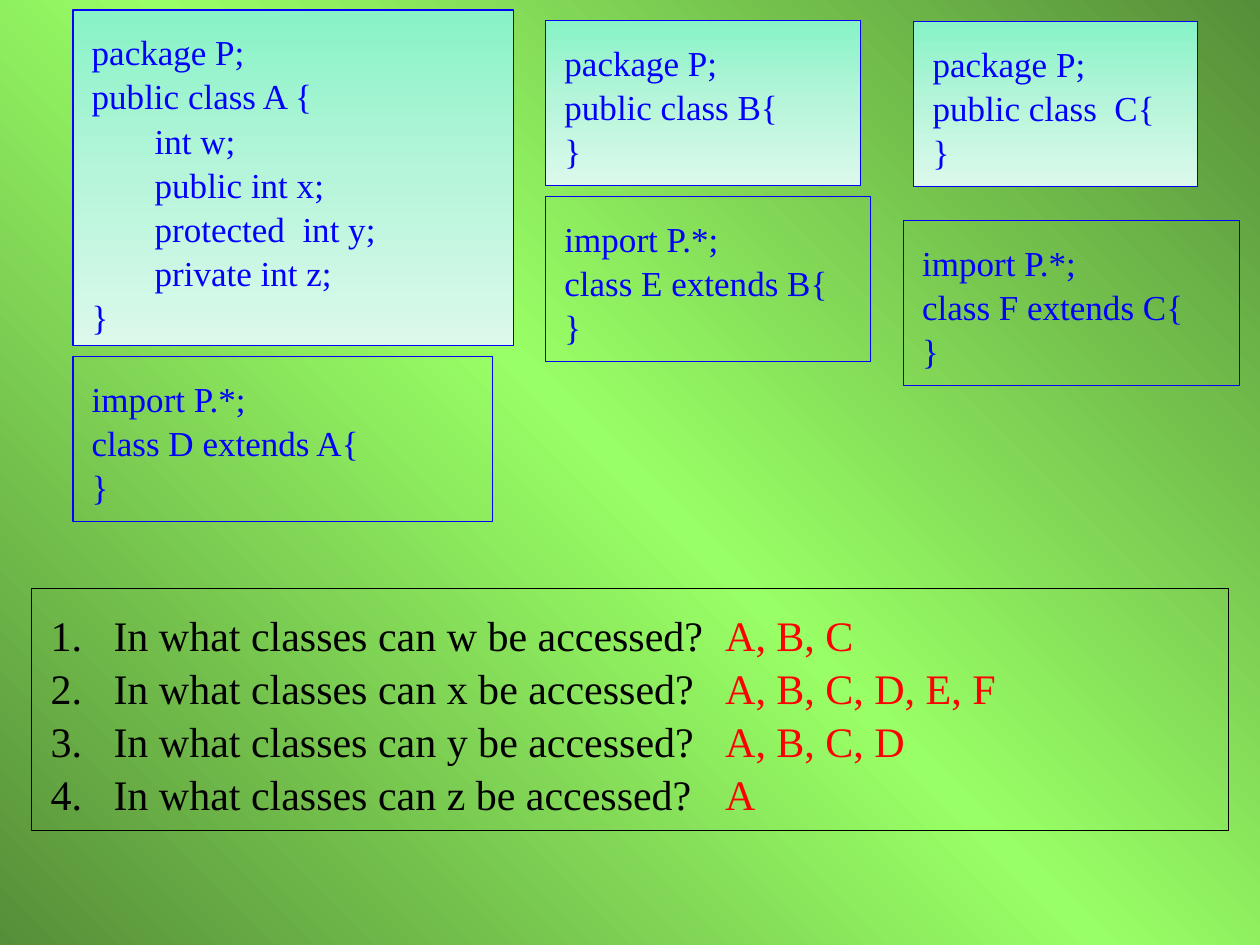
import copy
import pptx
import pptx.util
import pptx.dml.color
import pptx.enum.shapes
import pptx.enum.text
import pptx.oxml.ns
import lxml.etree

Cm, Pt = pptx.util.Cm, pptx.util.Pt
qn = pptx.oxml.ns.qn
FONT = "Times New Roman"
INSET = 0.38
COLORS = {
    "code": "0000FF", "ask": "000000", "reply": "FF0000",
    "dark": "568F39", "lime": "99FF66",
    "mint": "87F3C6", "mid": "B7F5DA", "pale": "DCF9EC",
}


def rgb(name):
    return pptx.dml.color.RGBColor.from_string(COLORS[name])


def blend(fill, root, names, angle):
    """Fill with evenly spaced colours; the angle is counter-clockwise."""
    fill.gradient()
    fill.gradient_angle = angle
    stops = root.find(".//" + qn("a:gsLst"))
    while len(stops) < len(names):
        stops.append(copy.deepcopy(stops[-1]))
    for i, (stop, name) in enumerate(zip(fill.gradient_stops, names)):
        stop.color.rgb = rgb(name)
        stop.position = i / (len(names) - 1)


def write(para, text, size=20, color="code"):
    run = para.add_run()
    run.text = text
    run.font.name = FONT
    run.font.size = Pt(size)
    run.font.color.rgb = rgb(color)


def frame(slide, box, line):
    """Add an outlined rectangle without fill, ready for text."""
    kind = pptx.enum.shapes.MSO_SHAPE.RECTANGLE
    shape = slide.shapes.add_shape(kind, *(Cm(v) for v in box))
    shape.shadow.inherit = False
    shape.fill.background()
    shape.line.color.rgb = rgb(line)
    shape.line.width = Pt(0.75)
    body = shape.text_frame
    body.word_wrap = True
    body.vertical_anchor = pptx.enum.text.MSO_ANCHOR.TOP
    for side in ("left", "top", "right", "bottom"):
        setattr(body, "margin_" + side, Cm(INSET))
    return shape


def lines(shape, items):
    """Yield a left-aligned paragraph with each item."""
    body = shape.text_frame
    for i, item in enumerate(items):
        para = body.add_paragraph() if i else body.paragraphs[0]
        para.alignment = pptx.enum.text.PP_ALIGN.LEFT
        para.line_spacing = 1.05
        yield para, item


def code(slide, box, text, tinted):
    shape = frame(slide, box, "code")
    if tinted:
        blend(shape.fill, shape.element, ("mint", "mid", "pale"), 270)
    for para, row in lines(shape, text.split("\n")):
        write(para, row)


def quiz(slide, box, pairs):
    """Numbered questions, with the replies aligned on a tab stop."""
    shape = frame(slide, box, "ask")
    for para, (field, reply) in lines(shape, pairs):
        props = para._p.get_or_add_pPr()
        props.set("marL", str(Cm(1.27)))
        props.set("indent", str(Cm(-1.27)))
        tint = lxml.etree.SubElement(props, qn("a:buClr"))
        lxml.etree.SubElement(tint, qn("a:srgbClr"), val=COLORS["ask"])
        lxml.etree.SubElement(props, qn("a:buFont"), typeface=FONT)
        lxml.etree.SubElement(props, qn("a:buAutoNum"), type="arabicPeriod")
        tabs = lxml.etree.SubElement(props, qn("a:tabLst"))
        lxml.etree.SubElement(tabs, qn("a:tab"), pos=str(Cm(13.6)), algn="l")
        write(para, f"In what classes can {field} be accessed?\t", size=24, color="ask")
        write(para, reply, size=24, color="reply")


def main():
    deck = pptx.Presentation()
    deck.slide_width, deck.slide_height = Cm(25.4), Cm(19.05)
    slide = deck.slides.add_slide(deck.slide_layouts[6])
    blend(slide.background.fill, slide.element, ("dark", "lime", "dark"), 45)

    # Classes inside the package
    fields = "\tint w;\n\tpublic int x;\n\tprotected  int y;\n\tprivate int z;\n"
    for box, head, rest in (
        ((1.47, 0.2, 8.89, 6.76), "A {", fields),
        ((11, 0.41, 6.35, 3.33), "B{", ""),
        ((18.42, 0.43, 5.72, 3.33), " C{", ""),
    ):
        code(slide, box, f"package P;\npublic class {head}\n{rest}}}", True)

    # Subclasses outside the package
    for box, name, base in (
        ((1.47, 7.19, 8.46, 3.33), "D", "A"),
        ((11, 3.96, 6.55, 3.33), "E", "B"),
        ((18.21, 4.45, 6.78, 3.33), "F", "C"),
    ):
        code(slide, box, f"import P.*;\nclass {name} extends {base}{{\n}}", False)

    # Questions and replies
    quiz(slide, (0.64, 11.86, 24.13, 4.88), (
        ("w", "A, B, C"),
        ("x", "A, B, C, D, E, F"),
        ("y", "A, B, C, D"),
        ("z", "A"),
    ))
    deck.save("out.pptx")


if __name__ == "__main__":
    main()
